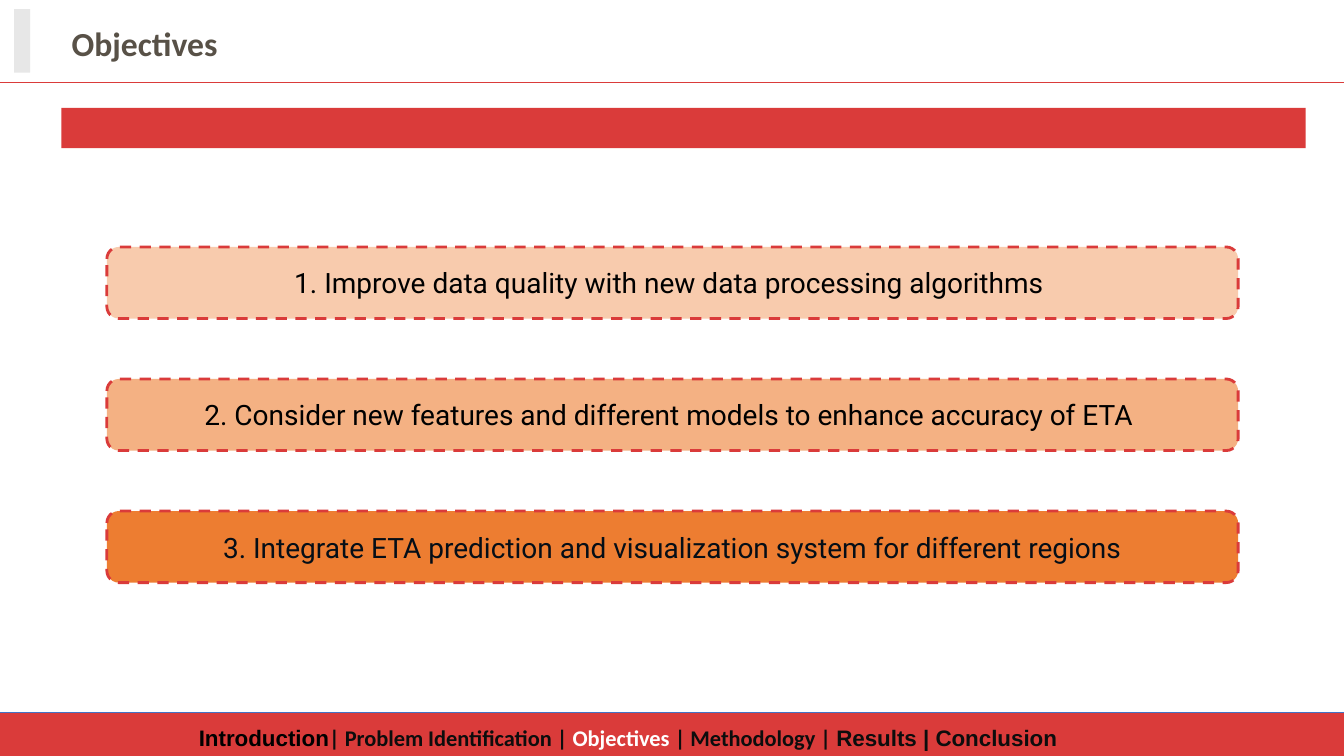
import pptx
import pptx.dml.color
import pptx.enum.dml
import pptx.enum.shapes
import pptx.enum.text
import pptx.oxml.ns
import pptx.util
from lxml import etree

Inches = pptx.util.Inches
Pt = pptx.util.Pt
SHAPE = pptx.enum.shapes.MSO_SHAPE
ALIGN = pptx.enum.text.PP_ALIGN
MIDDLE = pptx.enum.text.MSO_ANCHOR.MIDDLE

RED = "DA3B3A"
NEAR_BLACK = "0D0D0D"


def paint(color_format, hex_color):
    """Colour a fill or a line's fill solidly."""
    color_format.solid()
    color_format.fore_color.rgb = pptx.dml.color.RGBColor.from_string(hex_color)


def add_text(paragraph, text, size=20, font="Calibri", color="000000", bold=False, align=ALIGN.CENTER):
    paragraph.alignment = align
    run = paragraph.add_run()
    run.text = text
    run.font.size = Pt(size)
    run.font.name = font
    run.font.bold = bold
    paint(run.font.fill, color)


deck = pptx.Presentation()
deck.slide_width = Inches(13.33)
deck.slide_height = Inches(7.5)
slide = deck.slides.add_slide(deck.slide_layouts[5])

# Title
title = slide.shapes.title
title.left, title.top = Inches(0.61), Inches(0.08)
title.width, title.height = Inches(11.02), Inches(0.7)
title.text_frame.vertical_anchor = MIDDLE
add_text(title.text_frame.paragraphs[0], "Objectives", size=24, color="585147", bold=True, align=ALIGN.LEFT)

# Banner and grey title marker
for left, top, width, height, color in [
    (0.61, 1.07, 12.34, 0.4, RED),
    (0.14, 0.09, 0.16, 0.63, "E7E7E7"),
]:
    bar = slide.shapes.add_shape(SHAPE.RECTANGLE, Inches(left), Inches(top), Inches(width), Inches(height))
    bar.shadow.inherit = False
    paint(bar.fill, color)
    bar.line.fill.background()

# Footer navigation
footer = slide.shapes.add_table(1, 2, Inches(-0.06), Inches(7.07), Inches(13.68), Inches(0.51)).table
footer.columns[0].width = Inches(12.64)
footer.columns[1].width = Inches(1.04)
# The plain table style has no borders
style_id = footer._tbl.tblPr.find(pptx.oxml.ns.qn("a:tableStyleId"))
style_id.text = "{2D5ABB26-0587-4C30-8999-92F81FD0307C}"
for cell in footer.iter_cells():
    paint(cell.fill, RED)
    cell.vertical_anchor = MIDDLE
navigation = footer.cell(0, 0).text_frame.paragraphs[0]
for text, font, color in [
    ("Introduction", "Arial", "000000"),
    ("| Problem Identification | ", "Calibri", NEAR_BLACK),
    ("Objectives", "Calibri", "FFFFFF"),
    (" | Methodology | ", "Calibri", NEAR_BLACK),
    ("Results | Conclusion ", "Arial", NEAR_BLACK),
]:
    add_text(navigation, text, size=16, font=font, color=color, bold=True)

# Rules below the title and above the footer
for top, color in [(0.82, RED), (7.07, "4472C4")]:
    rule = slide.shapes.add_connector(
        pptx.enum.shapes.MSO_CONNECTOR.STRAIGHT, 0, Inches(top), deck.slide_width, Inches(top))
    paint(rule.line.fill, color)
    rule.line.width = Pt(0.75)
    etree.SubElement(rule._element.spPr, pptx.oxml.ns.qn("a:effectLst"))

# Objectives, evenly spaced
objectives = [
    ("1. Improve data quality with new data processing algorithms ", "F8CBAD", "000000"),
    ("2. Consider new features and different models to enhance accuracy of ETA ", "F4B183", "000000"),
    ("3. Integrate ETA prediction and visualization system for different regions", "ED7D31", "050E17"),
]
for index, (text, fill, color) in enumerate(objectives):
    objective = slide.shapes.add_shape(
        SHAPE.ROUNDED_RECTANGLE, Inches(1.06), Inches(2.45 + 1.31 * index), Inches(11.22), Inches(0.71))
    objective.shadow.inherit = False
    paint(objective.fill, fill)
    paint(objective.line.fill, RED)
    objective.line.width = Pt(2)
    objective.line.dash_style = pptx.enum.dml.MSO_LINE.DASH
    objective.text_frame.word_wrap = True
    objective.text_frame.vertical_anchor = MIDDLE
    add_text(objective.text_frame.paragraphs[0], text, font="Roboto", color=color)

deck.save("out.pptx")
